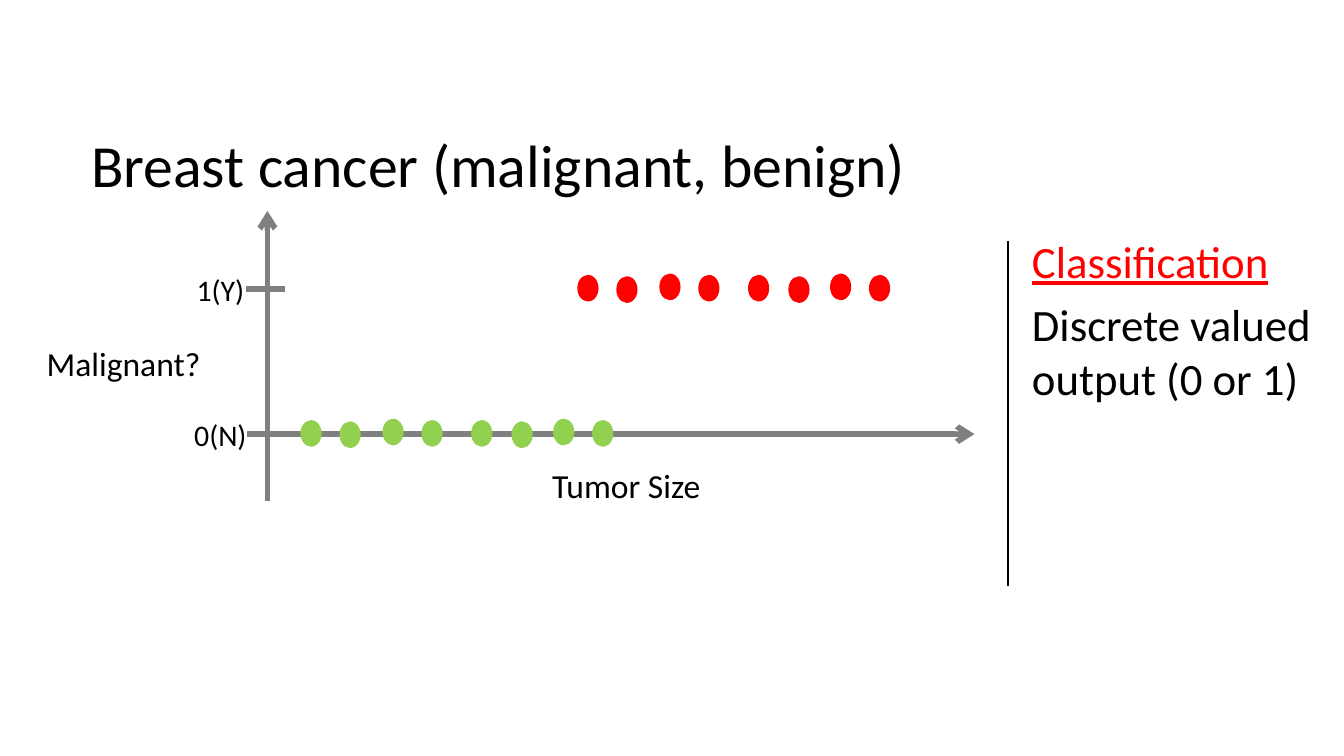
from pptx import Presentation
from pptx.dml.color import RGBColor
from pptx.enum.shapes import MSO_CONNECTOR, MSO_SHAPE
from pptx.enum.text import MSO_AUTO_SIZE, PP_ALIGN
from pptx.oxml.ns import qn
from pptx.util import Pt
from lxml import etree

LINE = MSO_CONNECTOR.STRAIGHT
OVAL = MSO_SHAPE.OVAL
GROW = MSO_AUTO_SIZE.SHAPE_TO_FIT_TEXT
MID = PP_ALIGN.CENTER
PX = 9144  # 100 px to the inch
BLACK, GRAY, RED, GREEN = "000000", "808080", "FF0000", "92D050"


def paint(color, code):
    color.rgb = RGBColor.from_string(code)


def write(par, text, size, code=BLACK):
    run = par.add_run()
    run.text = text
    run.font.name = "Calibri"
    run.font.size = Pt(size)
    paint(run.font.color, code)
    return run


prs = Presentation()
prs.slide_width = 1000 * PX
prs.slide_height = prs.slide_width * 9 // 16
slide = prs.slides.add_slide(prs.slide_layouts[6])
shapes = slide.shapes

# Title
box = shapes.add_textbox(58 * PX, 90 * PX, 900 * PX, 371 * PX)
box.text_frame.word_wrap = True
write(box.text_frame.paragraphs[0], "Breast cancer (malignant, benign)", 32)

# Side note
box = shapes.add_textbox(758 * PX, 169 * PX, 235 * PX, 267 * PX)
frame = box.text_frame
frame.word_wrap = True
write(frame.paragraphs[0], "Classification", 24, RED).font.underline = True
par = frame.add_paragraph()
par.space_before = Pt(5)
write(par, "Discrete valued output (0 or 1)", 24)

# Divider, axes and tick: start, end, colour, width, arrow at start
lines = [
    (750, 179, 750, 436, BLACK, 0.75, False),
    (199, 157, 199, 373, GRAY, 3, True),
    (725, 323, 184, 323, GRAY, 3, True),
    (183, 215, 212, 215, GRAY, 3, False),
]
for x1, y1, x2, y2, code, width, arrow in lines:
    line = shapes.add_connector(LINE, x1 * PX, y1 * PX, x2 * PX, y2 * PX)
    paint(line.line.color, code)
    line.line.width = Pt(width)
    if arrow:
        edge = line._element.spPr.find(qn("a:ln"))
        head = etree.SubElement(edge, qn("a:headEnd"))
        head.set("type", "arrow")
    etree.SubElement(line._element.spPr, qn("a:effectLst"))

# Axis labels
labels = [
    ("Malignant?", 24, 250, 136, 40, 18),
    ("1(Y)", 136, 197, 56, 37, 16),
    ("0(N)", 134, 305, 60, 37, 16),
    ("Tumor Size", 400, 341, 132, 40, 18),
]
for text, x, y, w, h, size in labels:
    box = shapes.add_textbox(x * PX, y * PX, w * PX, h * PX)
    frame = box.text_frame
    frame.word_wrap = False
    frame.auto_size = GROW
    par = frame.paragraphs[0]
    par.alignment = MID
    write(par, text, size)

# Both classes share one pattern of dots
dots = [(0, 0), (29, 1), (61, -1), (90, 0),
        (127, 0), (157, 1), (188, -1), (217, 0)]
for left, top, code in [(225, 314, GREEN), (431, 206, RED)]:
    for dx, dy in dots:
        dot = shapes.add_shape(OVAL, (left + dx) * PX, (top + dy) * PX,
                               13 * PX, 17 * PX)
        dot.shadow.inherit = False
        dot.fill.solid()
        paint(dot.fill.fore_color, code)
        paint(dot.line.color, code)
        dot.line.width = Pt(2)

prs.save("out.pptx")
